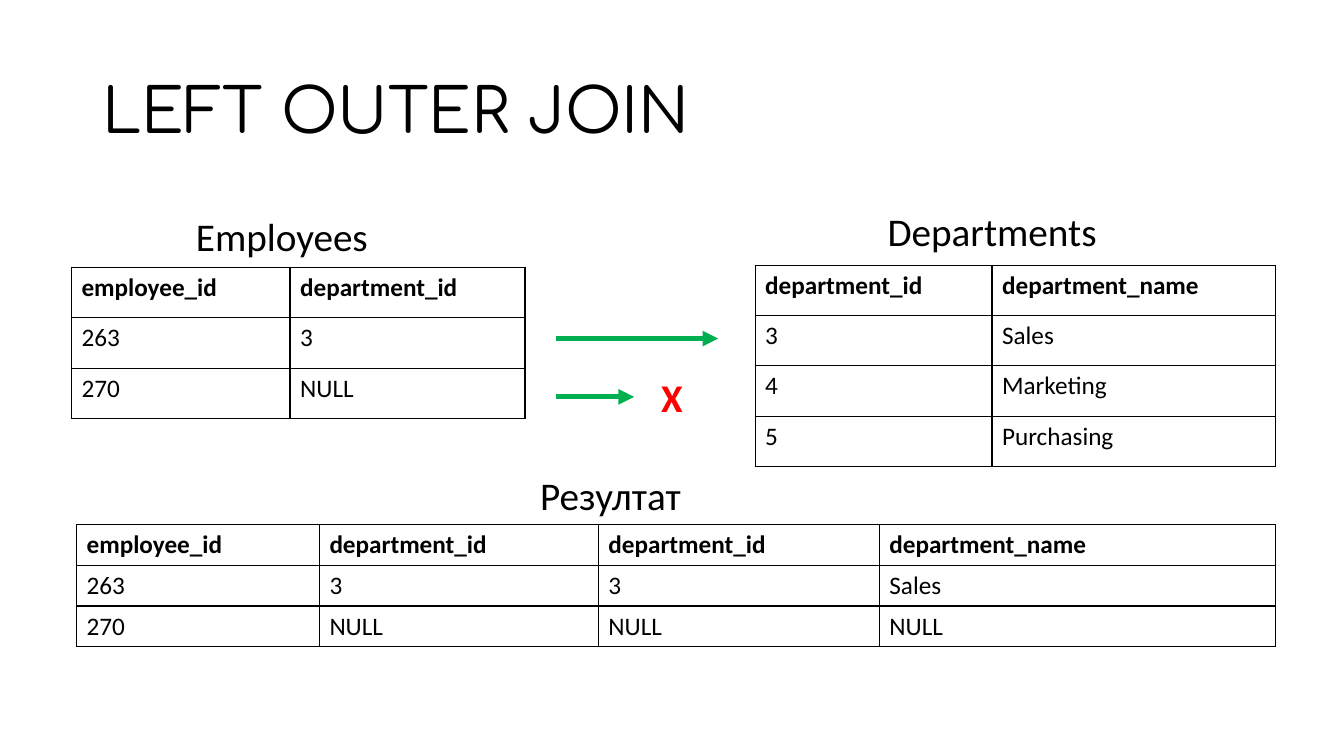
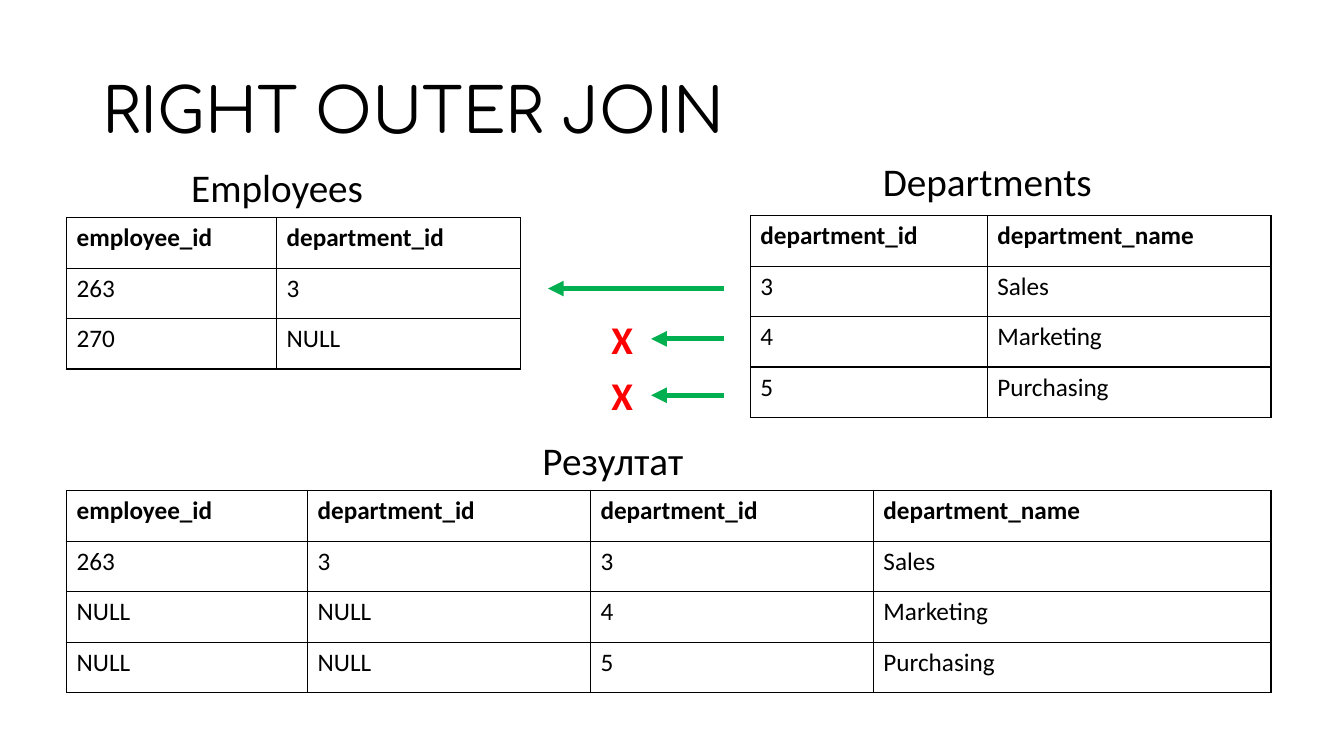
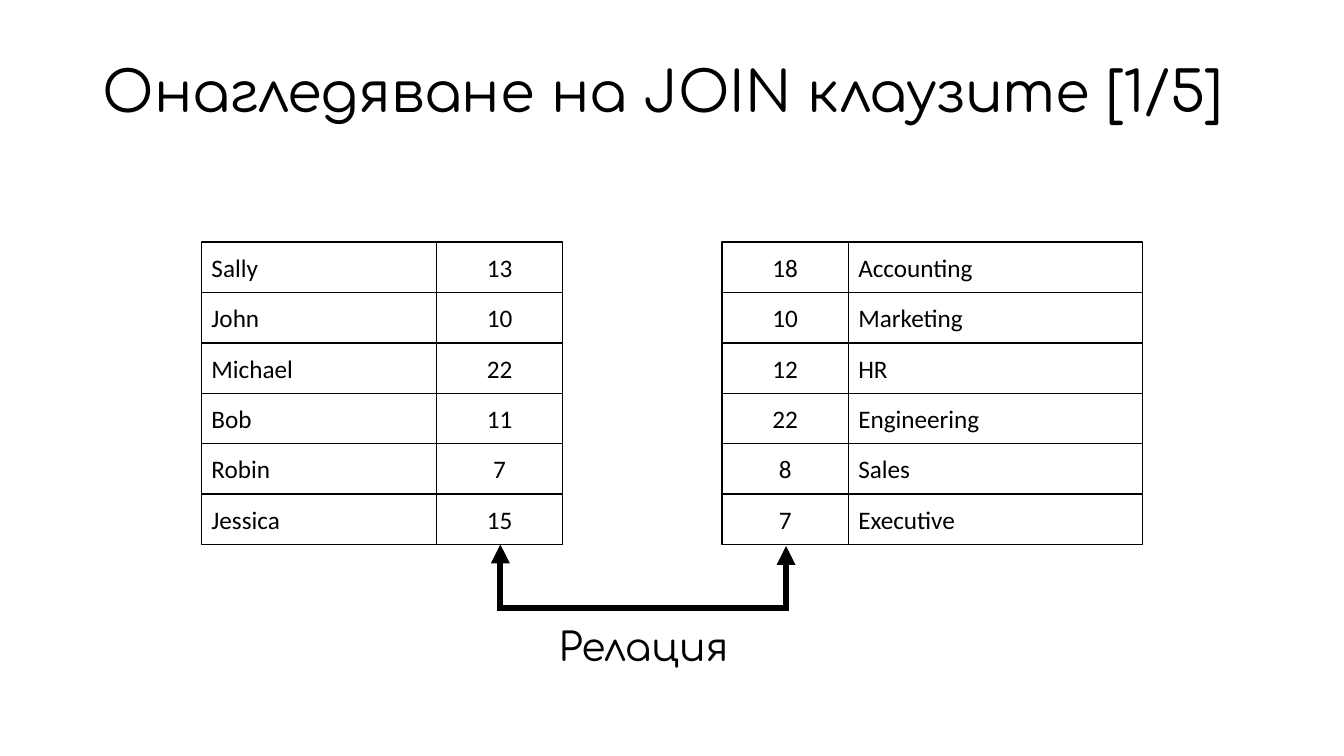
"""Build three slides that explain SQL outer joins and the relation behind them."""
from lxml import etree
from pptx import Presentation
from pptx.dml.color import RGBColor
from pptx.enum.shapes import MSO_CONNECTOR, MSO_SHAPE
from pptx.enum.text import MSO_ANCHOR, MSO_AUTO_SIZE, PP_ALIGN
from pptx.oxml.ns import qn
from pptx.util import Cm, Pt

STRAIGHT, ELBOW = MSO_CONNECTOR.STRAIGHT, MSO_CONNECTOR.ELBOW
RECTANGLE = MSO_SHAPE.RECTANGLE
MIDDLE = MSO_ANCHOR.MIDDLE
LEFT, CENTER = PP_ALIGN.LEFT, PP_ALIGN.CENTER
NO_AUTOFIT = MSO_AUTO_SIZE.NONE
FIT_SHAPE = MSO_AUTO_SIZE.SHAPE_TO_FIT_TEXT

BLACK = RGBColor(0x00, 0x00, 0x00)
GREEN = RGBColor(0x00, 0xB0, 0x50)
RED = RGBColor(0xFF, 0x00, 0x00)
TITLE_FONT, BODY_FONT = "Comfortaa", "Calibri"
TITLE_ONLY = 5
ROW_HEIGHT, COMPACT_ROW_HEIGHT = 1.27, 1.03
LABEL_HEIGHT = 1.45

EMPLOYEES = [("employee_id", "department_id"), ("263", "3"), ("270", "NULL")]
DEPARTMENTS = [("department_id", "department_name"),
               ("3", "Sales"), ("4", "Marketing"), ("5", "Purchasing")]
RESULT_HEADER = EMPLOYEES[0] + DEPARTMENTS[0]
MATCHED_ROW = EMPLOYEES[1] + DEPARTMENTS[1]
LEFT_RESULT = [RESULT_HEADER, MATCHED_ROW, EMPLOYEES[2] + ("NULL", "NULL")]
RIGHT_RESULT = [RESULT_HEADER, MATCHED_ROW] + [
    ("NULL", "NULL") + department for department in DEPARTMENTS[2:]]
DEPARTMENT_COLUMNS = (5.97, 7.15)

NAMES = ["Sally", "John", "Michael", "Bob", "Robin", "Jessica"]
NAME_NUMBERS = ["13", "10", "22", "11", "7", "15"]
UNIT_NUMBERS = ["18", "10", "12", "22", "8", "7"]
UNITS = ["Accounting", "Marketing", "HR", "Engineering", "Sales", "Executive"]


def add_run(paragraph, text, size, font=BODY_FONT, color=BLACK, bold=False):
    """Append one formatted run."""
    run = paragraph.add_run()
    run.text = text
    run.font.name = font
    run.font.size = Pt(size)
    run.font.bold = bold
    run.font.color.rgb = color


def add_titled_slide(prs, title, size=44, width=29.21, height=3.68):
    """Add a title-only slide and format its title."""
    slide = prs.slides.add_slide(prs.slide_layouts[TITLE_ONLY])
    heading = slide.shapes.title
    heading.left, heading.top = Cm(2.33), Cm(1.02)
    heading.width, heading.height = Cm(width), Cm(height)
    frame = heading.text_frame
    frame.auto_size = NO_AUTOFIT
    frame.vertical_anchor = MIDDLE
    paragraph = frame.paragraphs[0]
    paragraph.alignment = LEFT
    paragraph.line_spacing = 0.9
    add_run(paragraph, title, size, TITLE_FONT)
    return slide


def add_label(slide, text, left, top, width, align=LEFT, **style):
    """Add a single-line label."""
    label = slide.shapes.add_textbox(Cm(left), Cm(top), Cm(width), Cm(LABEL_HEIGHT))
    frame = label.text_frame
    frame.word_wrap = False
    frame.auto_size = FIT_SHAPE
    frame.paragraphs[0].alignment = align
    add_run(frame.paragraphs[0], text, 28, **style)


def add_borders(cell):
    """Draw a thin black line on all four sides of a cell."""
    properties = cell._tc.get_or_add_tcPr()
    for side in ("a:lnL", "a:lnR", "a:lnT", "a:lnB"):
        line = etree.SubElement(properties, qn(side), w=str(Pt(1)))
        fill = etree.SubElement(line, qn("a:solidFill"))
        etree.SubElement(fill, qn("a:srgbClr"), val=str(BLACK))


def add_grid(slide, rows, left, top, columns, row_height=ROW_HEIGHT):
    """Add a plain ruled table with a bold header row."""
    grid = slide.shapes.add_table(
        len(rows), len(columns), Cm(left), Cm(top),
        Cm(sum(columns)), Cm(row_height * len(rows))).table
    grid.horz_banding = False
    for column, width in zip(grid.columns, columns):
        column.width = Cm(width)
    for r, row in enumerate(rows):
        grid.rows[r].height = Cm(row_height)
        for c, text in enumerate(row):
            cell = grid.cell(r, c)
            add_borders(cell)
            cell.fill.background()
            add_run(cell.text_frame.paragraphs[0], text, 18, bold=r == 0)


def add_box_column(slide, entries, left, width, align=LEFT, top=6.1):
    """Stack one outlined box for each entry."""
    for row, text in enumerate(entries):
        box = slide.shapes.add_shape(
            RECTANGLE, Cm(left), Cm(top + row * ROW_HEIGHT),
            Cm(width), Cm(ROW_HEIGHT))
        box.shadow.inherit = False
        box.fill.background()
        box.line.color.rgb = BLACK
        box.line.width = Pt(1)
        box.text_frame.vertical_anchor = MIDDLE
        paragraph = box.text_frame.paragraphs[0]
        paragraph.alignment = align
        add_run(paragraph, text, 18)


def style_connector(connector, color, width, ends):
    """Colour a connector, square its corners, drop its shadow and add arrowheads."""
    connector.line.color.rgb = color
    connector.line.width = Pt(width)
    line = connector.line._get_or_add_ln()
    etree.SubElement(line, qn("a:miter"), lim="800000")
    for end in ends:
        etree.SubElement(line, qn(end), type="triangle")
    etree.SubElement(connector._element.spPr, qn("a:effectLst"))


def add_match_arrow(slide, start, end, y):
    """Add a horizontal green arrow."""
    arrow = slide.shapes.add_connector(STRAIGHT, Cm(start), Cm(y), Cm(end), Cm(y))
    style_connector(arrow, GREEN, 3.75, ["a:tailEnd"])


def add_relation_bracket(slide, left, right, top, depth, rise=0.04):
    """Add a U-shaped double arrow, as an elbow turned a quarter to the left."""
    middle_x, middle_y = (left + right) / 2, top + rise / 2
    half_span = (right - left) / 2
    bracket = slide.shapes.add_connector(
        ELBOW, Cm(middle_x + rise / 2), Cm(middle_y - half_span),
        Cm(middle_x - rise / 2), Cm(middle_y + half_span))
    properties = bracket._element.spPr
    properties.find(qn("a:xfrm")).set("rot", str(270 * 60000))
    guides = properties.find(qn("a:prstGeom")).get_or_add_avLst()
    etree.SubElement(guides, qn("a:gd"), name="adj1",
                     fmla=f"val {round(depth / rise * 100000)}")
    style_connector(bracket, BLACK, 4.5, ["a:headEnd", "a:tailEnd"])


def add_captions(slide, employees, departments, result):
    """Name the three tables of a join slide."""
    add_label(slide, "Employees", *employees, 4.88)
    add_label(slide, "Departments", *departments, 5.84)
    add_label(slide, "Резултат", *result, 4.09)


def add_no_match(slide, left, top):
    """Mark a row that finds no partner."""
    add_label(slide, "X", left, top, 1.07, color=RED, bold=True)


def build_left_join(prs):
    """Build the left outer join slide."""
    slide = add_titled_slide(prs, "LEFT OUTER JOIN")
    add_grid(slide, EMPLOYEES, 1.8, 6.74, (5.51, 5.92))
    add_grid(slide, DEPARTMENTS, 19.03, 6.68, DEPARTMENT_COLUMNS)
    add_grid(slide, LEFT_RESULT, 1.93, 13.21, (6.12, 7.03, 7.08, 9.98),
             COMPACT_ROW_HEIGHT)
    add_captions(slide, (4.69, 5.23), (22.12, 5.09), (13.36, 11.76))
    add_match_arrow(slide, 14, 18.1, 8.53)
    add_match_arrow(slide, 14, 15.98, 10)
    add_no_match(slide, 16.41, 9.27)


def build_right_join(prs):
    """Build the right outer join slide."""
    slide = add_titled_slide(prs, "RIGHT OUTER JOIN")
    add_grid(slide, EMPLOYEES, 1.68, 5.49, (5.29, 6.14))
    add_grid(slide, DEPARTMENTS, 18.91, 5.44, DEPARTMENT_COLUMNS)
    add_grid(slide, RIGHT_RESULT, 1.68, 12.37, (6.07, 7.13, 7.13, 10.02))
    add_captions(slide, (4.57, 3.99), (22, 3.84), (13.42, 10.87))
    add_match_arrow(slide, 18.24, 13.81, 7.27)
    for y in (8.54, 9.96):
        add_match_arrow(slide, 18.24, 16.41, y)
        add_no_match(slide, 15.16, y - 0.73)


def build_relation(prs):
    """Build the slide that relates the two lists by number."""
    slide = add_titled_slide(prs, "Онагледяване на JOIN клаузите [1/5]",
                             size=40, width=29.62, height=2.72)
    add_box_column(slide, NAMES, 5.08, 5.92)
    add_box_column(slide, NAME_NUMBERS, 11, 3.18, CENTER)
    add_box_column(slide, UNIT_NUMBERS, 18.2, 3.18, CENTER)
    add_box_column(slide, UNITS, 21.38, 7.41)
    add_relation_bracket(slide, 12.61, 19.81, 13.72, 1.6)
    add_label(slide, "Релация", 13.74, 15.56, 4.95, CENTER, font=TITLE_FONT)


def main():
    """Build and save the presentation."""
    prs = Presentation()
    prs.slide_width, prs.slide_height = Cm(33.87), Cm(19.05)
    build_left_join(prs)
    build_right_join(prs)
    build_relation(prs)
    prs.save("out.pptx")


if __name__ == "__main__":
    main()
